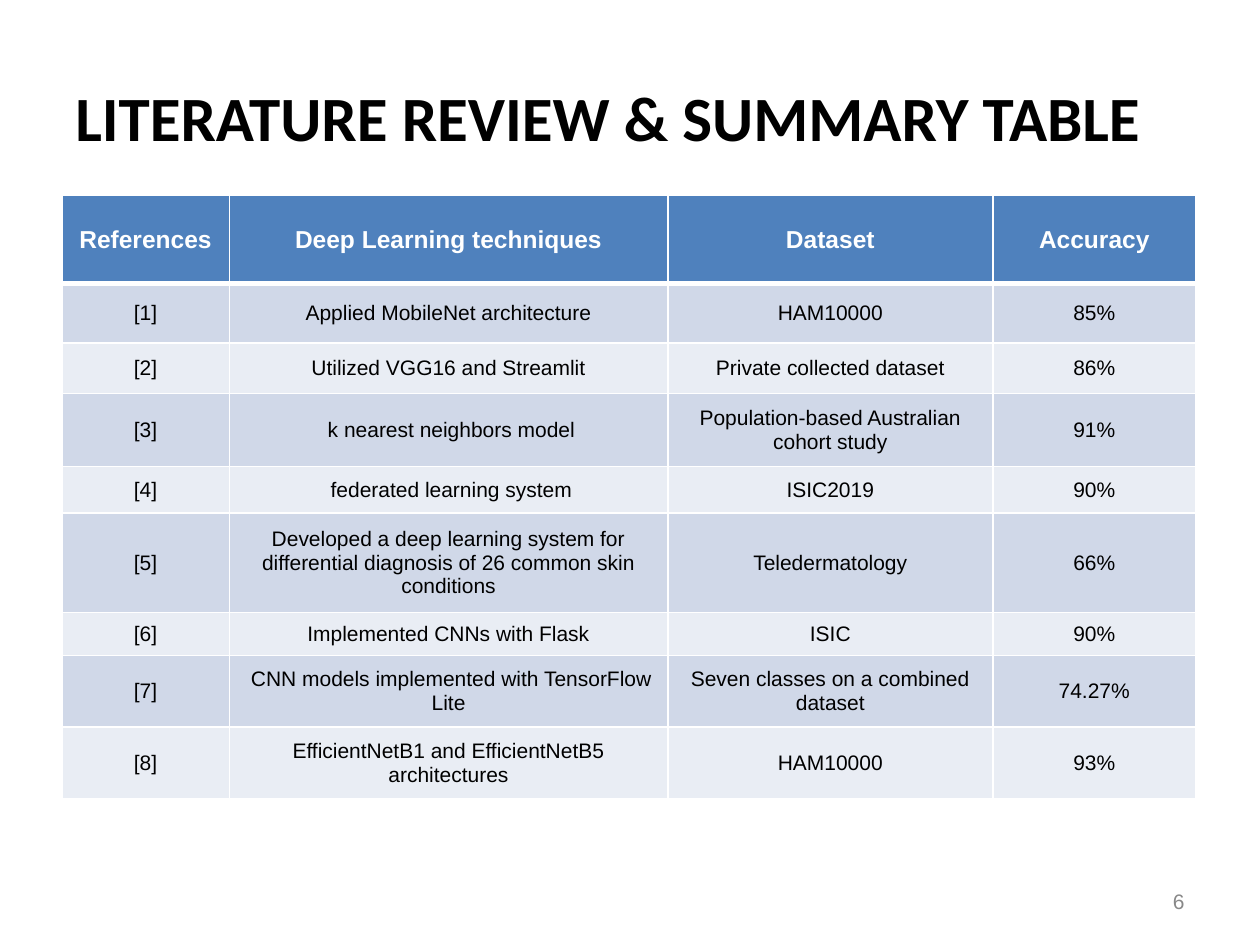
from dataclasses import dataclass

from lxml.etree import SubElement
from pptx import Presentation
from pptx.dml.color import RGBColor
from pptx.enum.text import MSO_ANCHOR, PP_ALIGN
from pptx.oxml.ns import qn
from pptx.slide import Slide
from pptx.table import _Cell
from pptx.text.text import TextFrame
from pptx.util import Inches, Pt

SLIDE_WIDTH, SLIDE_HEIGHT = Inches(10), Inches(7.5)
COLORS = {
    "title": "000000",
    "body": "000000",
    "page": "888888",
    "header_text": "FFFFFF",
    "header": "4F81BD",
    "odd": "D0D8E8",
    "even": "E9EDF4",
    "border": "FFFFFF",
}

# Table grid in inches
COLUMN_WIDTHS = (1.33, 3.48, 2.58, 1.61)
ROW_HEIGHTS = (0.7, 0.47, 0.4, 0.58, 0.37, 0.79, 0.34, 0.57, 0.57)
HEADINGS = ("References", "Deep Learning techniques", "Dataset", "Accuracy")


@dataclass(frozen=True)
class Box:
    """A place on the slide, as shares of its width and height."""
    left: float
    top: float
    width: float
    height: float

    def lengths(self) -> tuple[int, int, int, int]:
        return (int(self.left * SLIDE_WIDTH), int(self.top * SLIDE_HEIGHT),
                int(self.width * SLIDE_WIDTH), int(self.height * SLIDE_HEIGHT))


@dataclass(frozen=True)
class Study:
    technique: str
    dataset: str
    accuracy: str


STUDIES = (
    Study("Applied MobileNet architecture", "HAM10000", "85%"),
    Study("Utilized VGG16 and Streamlit", "Private collected dataset", "86%"),
    Study(" k nearest neighbors model", "Population-based Australian cohort study", "91%"),
    Study(" federated learning system", "ISIC2019", "90%"),
    Study("Developed a deep learning system for differential diagnosis of 26 common skin conditions",
          "Teledermatology", "66%"),
    Study("Implemented CNNs with Flask", "ISIC", "90%"),
    Study(" CNN models implemented with TensorFlow Lite", "Seven classes on a combined dataset", "74.27%"),
    Study("EfficientNetB1 and EfficientNetB5 architectures", "HAM10000", "93%"),
)


def write_text(frame: TextFrame, text: str, *, size: float, color: str, font: str = "Arial",
               bold: bool = False, align: PP_ALIGN = PP_ALIGN.CENTER) -> None:
    paragraph = frame.paragraphs[0]
    paragraph.alignment = align
    run = paragraph.add_run()
    run.text = text
    run.font.name = font
    run.font.size = Pt(size)
    run.font.bold = bold
    run.font.color.rgb = RGBColor.from_string(COLORS[color])


def add_text_box(slide: Slide, box: Box, text: str, **text_format) -> None:
    frame = slide.shapes.add_textbox(*box.lengths()).text_frame
    frame.word_wrap = True
    frame.vertical_anchor = MSO_ANCHOR.MIDDLE
    write_text(frame, text, **text_format)


def set_borders(cell: _Cell, top: float, bottom: float) -> None:
    properties = cell._tc.get_or_add_tcPr()
    for side, width in (("L", 1), ("R", 1), ("T", top), ("B", bottom)):
        line = SubElement(properties, qn(f"a:ln{side}"), w=str(Pt(width)))
        fill = SubElement(line, qn("a:solidFill"))
        SubElement(fill, qn("a:srgbClr"), val=COLORS["border"])


def fill_cell(cell: _Cell, row: int, text: str) -> None:
    is_header = row == 0
    set_borders(cell, top=3 if row == 1 else 1, bottom=3 if is_header else 1)
    band = "header" if is_header else ("odd" if row % 2 else "even")
    cell.fill.solid()
    cell.fill.fore_color.rgb = RGBColor.from_string(COLORS[band])
    cell.vertical_anchor = MSO_ANCHOR.MIDDLE
    write_text(cell.text_frame, text, size=14 if is_header else 12, bold=is_header,
               color="header_text" if is_header else "body")


def add_review_table(slide: Slide, box: Box) -> None:
    rows = [HEADINGS] + [(f"[{number}]", study.technique, study.dataset, study.accuracy)
                         for number, study in enumerate(STUDIES, start=1)]
    table = slide.shapes.add_table(len(rows), len(HEADINGS), *box.lengths()).table
    for column, width in zip(table.columns, COLUMN_WIDTHS):
        column.width = Inches(width)
    for table_row, height in zip(table.rows, ROW_HEIGHTS):
        table_row.height = Inches(height)
    for row, texts in enumerate(rows):
        for column, text in enumerate(texts):
            fill_cell(table.cell(row, column), row, text)


def main() -> None:
    presentation = Presentation()
    presentation.slide_width, presentation.slide_height = SLIDE_WIDTH, SLIDE_HEIGHT
    slide = presentation.slides.add_slide(presentation.slide_layouts[6])

    # Title
    add_text_box(slide, Box(0.05, 0.04, 0.9, 1 / 6), "LITERATURE REVIEW & SUMMARY TABLE",
                 size=36, color="title", font="Calibri", bold=True, align=PP_ALIGN.LEFT)
    # Page number
    add_text_box(slide, Box(0.717, 0.927, 0.233, 0.053), "6",
                 size=12, color="page", align=PP_ALIGN.RIGHT)
    # Summary of the reviewed studies
    add_review_table(slide, Box(0.049, 0.207, 0.9, 0.637))

    presentation.save("out.pptx")


if __name__ == "__main__":
    main()
